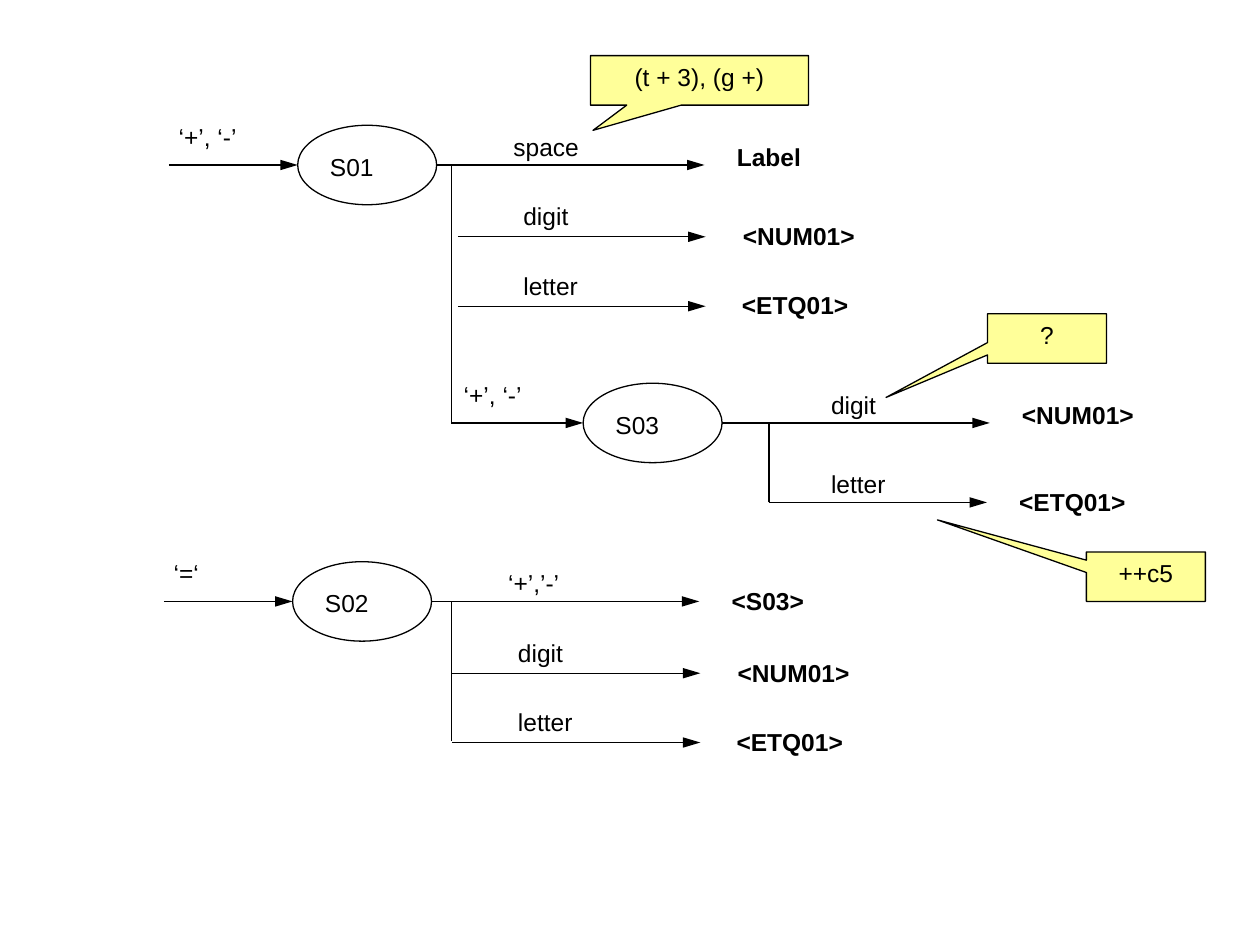
from lxml import etree
from pptx import Presentation
from pptx.dml.color import RGBColor
from pptx.enum.shapes import MSO_CONNECTOR as CONN, MSO_SHAPE as SHAPE
from pptx.enum.text import MSO_ANCHOR as ANCHOR, MSO_AUTO_SIZE as FIT, PP_ALIGN as ALIGN
from pptx.oxml.ns import qn
from pptx.util import Pt

BLACK = RGBColor(0x00, 0x00, 0x00)
WHITE = RGBColor(0xFF, 0xFF, 0xFF)
YELLOW = RGBColor(0xFF, 0xFF, 0x99)
STATE_W, STATE_H = 79.4, 45.4
TEXT_H = 24.3
WIDTHS = {
    "S01": 41, "S02": 41, "S03": 41, "‘+’, ‘-’": 49, "‘=‘": 30,
    "‘+’,’-’": 46, "space": 53, "digit": 42, "letter": 47,
    "Label": 53, "<S03>": 58, "<NUM01>": 80, "<ETQ01>": 78,
}

prs = Presentation()
prs.slide_width, prs.slide_height = Pt(720), Pt(540)
s = prs.slides.add_slide(prs.slide_layouts[6])


def add_text(text, x=0, y=0, bold=False, align=ALIGN.LEFT, sp=None):
    boxed = sp is not None
    if not boxed:
        sp = s.shapes.add_textbox(Pt(x), Pt(y), Pt(WIDTHS[text]), Pt(TEXT_H))
    tf = sp.text_frame
    tf.word_wrap = True
    tf.auto_size = FIT.NONE if boxed else FIT.SHAPE_TO_FIT_TEXT
    tf.vertical_anchor = ANCHOR.TOP
    p = tf.paragraphs[0]
    p.alignment = align
    r = p.add_run()
    r.text = text
    r.font.name, r.font.size, r.font.bold = "Arial", Pt(14), bold
    r.font.color.rgb = BLACK


def add_line(x1, y1, x2, y2, arrow=True):
    c = s.shapes.add_connector(CONN.STRAIGHT, Pt(x1), Pt(y1), Pt(x2), Pt(y2))
    c.line.color.rgb = BLACK
    c.line.width = Pt(0.75)
    if arrow:
        ln = c._element.spPr.find(qn("a:ln"))
        etree.SubElement(ln, qn("a:tailEnd"), type="triangle", w="med", len="lg")
    etree.SubElement(c._element.spPr, qn("a:effectLst"))


states = [
    ("S01", 170.1, 71.6, "‘+’, ‘-’", 96.5, 95),
    ("S03", 333.2, 219, "‘+’, ‘-’", 258, 257.9),
    ("S02", 167.2, 321, "‘=‘", 93.6, 92.2),
]
for name, x, y, symbol, start, label_x in states:
    mid = y + STATE_H / 2
    sp = s.shapes.add_shape(SHAPE.OVAL, Pt(x), Pt(y), Pt(STATE_W), Pt(STATE_H))
    sp.shadow.inherit = False
    sp.fill.solid()
    sp.fill.fore_color.rgb = WHITE
    sp.line.color.rgb = BLACK
    sp.line.width = Pt(0.75)
    add_text(name, x + 11.4, y + 11.6)
    add_line(start, mid, x, mid)
    add_text(symbol, label_x, y - 5.6)

branches = [
    (249.5, 402.6, 94.3, "space", 286.3, 71.6, "Label", 414, 77.4),
    (261.7, 403.2, 135.3, "digit", 292, 111.3, "<NUM01>", 417.4, 122.6),
    (261.7, 403.2, 175, "letter", 292, 151.2, "<ETQ01>", 416.9, 162),
    (412.6, 565.6, 241.7, "digit", 467.8, 219.3, "<NUM01>", 576.9, 224.8),
    (439.4, 564, 287.1, "letter", 467.8, 264.2, "<ETQ01>", 575.3, 274.5),
    (246.6, 399.6, 343.7, "‘+’,’-’", 283.3, 320.9, "<S03>", 411, 331.3),
    (258.3, 400.2, 384.7, "digit", 288.9, 360.9, "<NUM01>", 414.4, 372.2),
    (258.3, 400.2, 424.3, "letter", 288.9, 400.5, "<ETQ01>", 413.8, 411.8),
]
for x1, x2, y, symbol, sx, sy, target, tx, ty in branches:
    add_line(x1, y, x2, y)
    add_text(symbol, sx, sy)
    add_text(target, tx, ty, bold=True)

for x, top, bottom in [(258, 94.3, 241.7), (439.4, 241.7, 287.1), (258, 343.7, 423.2)]:
    add_line(x, bottom, x, top, arrow=False)

callouts = [
    ("++c5", 620.8, 315.4, 68, -1.752, -1.148),
    ("?", 564.3, 179.3, 68, -1.353, 1.192),
    ("(t + 3), (g +)", 337.4, 31.8, 124.6, -0.488, 1.011),
]
for text, x, y, w, tip_x, tip_y in callouts:
    sp = s.shapes.add_shape(SHAPE.RECTANGULAR_CALLOUT, Pt(x), Pt(y), Pt(w), Pt(28.3))
    sp.adjustments[0], sp.adjustments[1] = tip_x, tip_y
    sp.shadow.inherit = False
    sp.fill.solid()
    sp.fill.fore_color.rgb = YELLOW
    sp.line.color.rgb = BLACK
    sp.line.width = Pt(0.75)
    add_text(text, align=ALIGN.CENTER, sp=sp)

prs.save("out.pptx")
